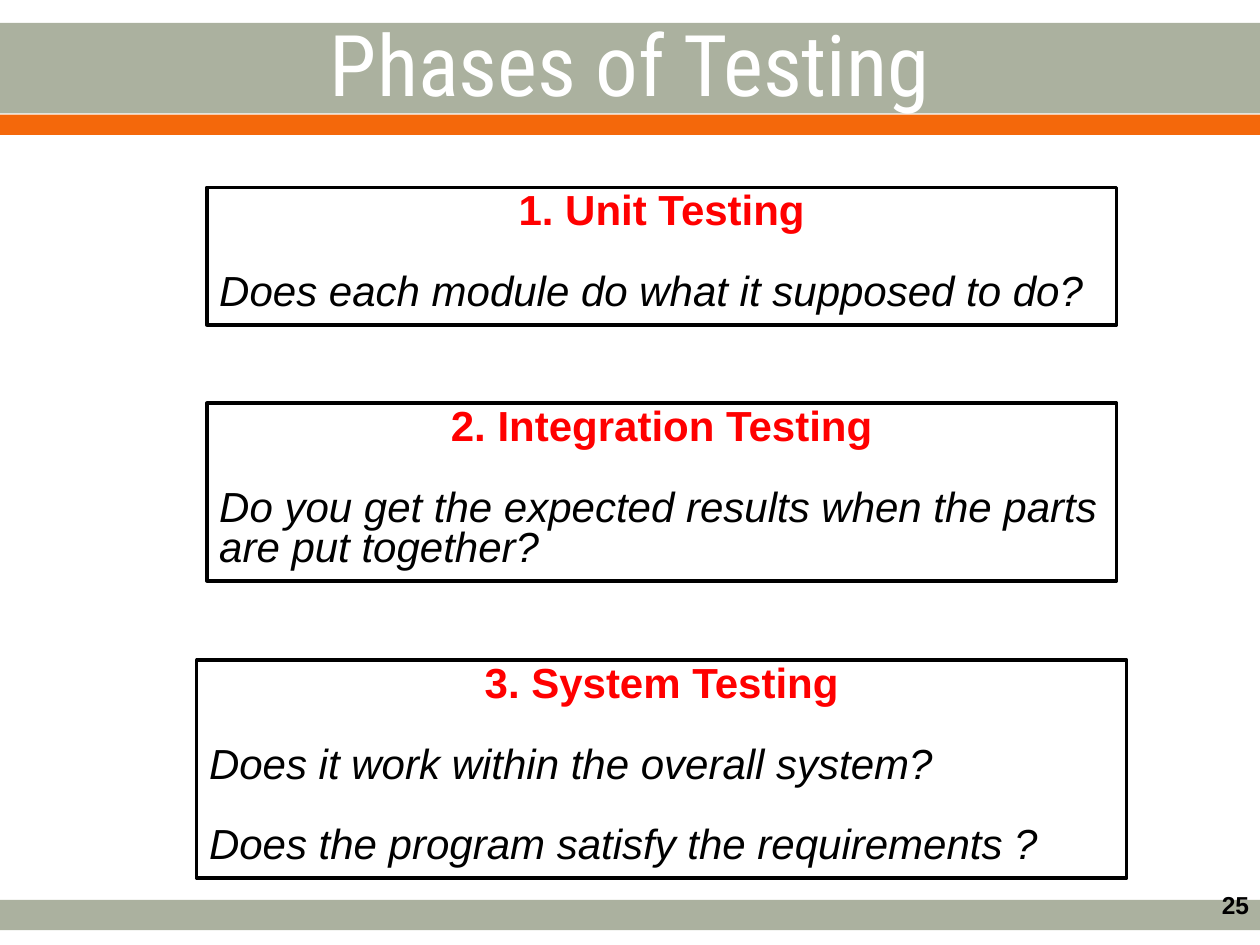
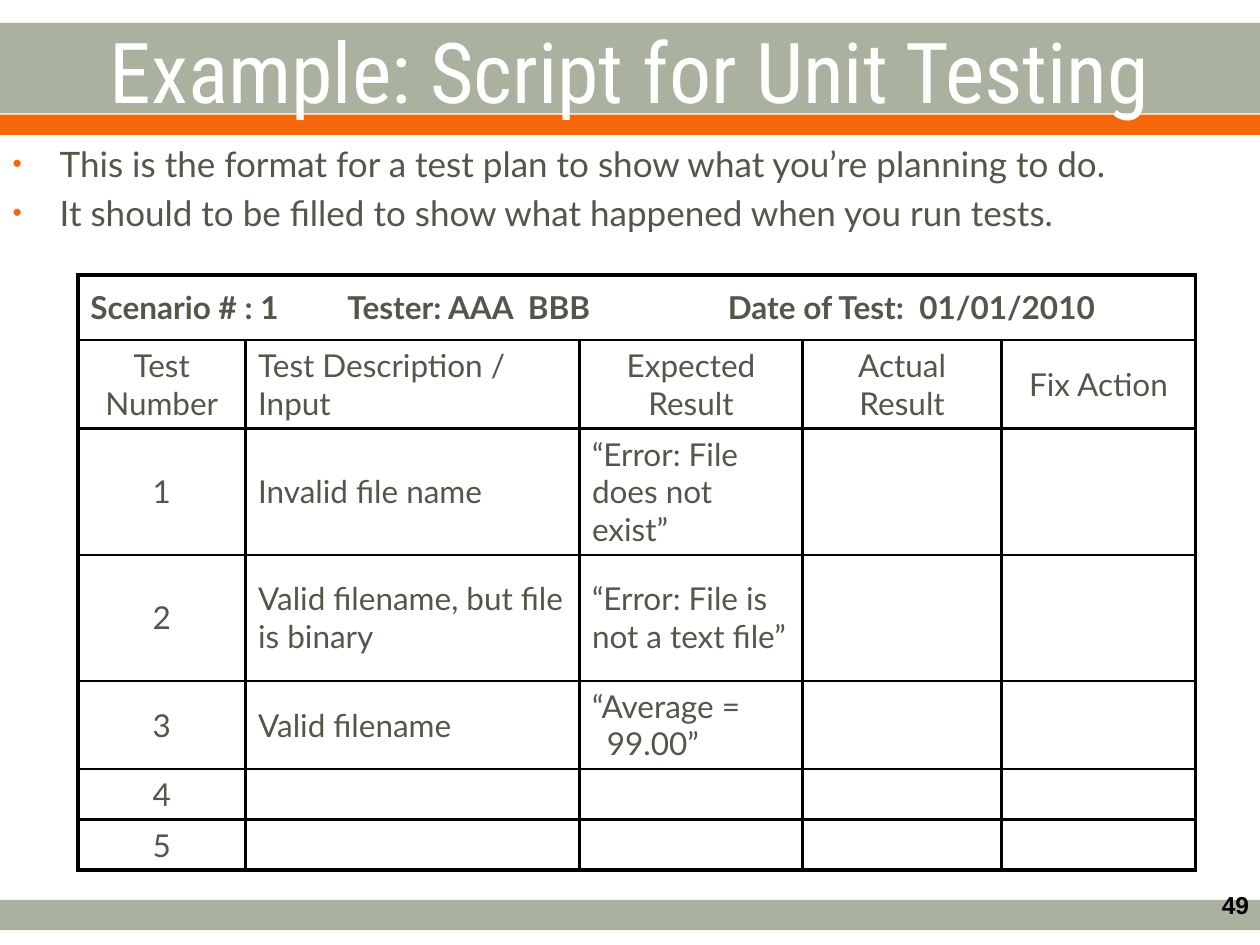
from dataclasses import dataclass

from lxml.etree import SubElement
from pptx import Presentation
from pptx.dml.color import RGBColor
from pptx.enum.shapes import MSO_SHAPE
from pptx.enum.text import MSO_ANCHOR, MSO_AUTO_SIZE, PP_ALIGN
from pptx.oxml import parse_xml
from pptx.oxml.ns import nsdecls, qn
from pptx.util import Cm, Pt

SAGE = RGBColor(0xAB, 0xB1, 0x9F)
ORANGE = RGBColor(0xF4, 0x68, 0x0B)
WHITE = RGBColor(0xFF, 0xFF, 0xFF)
BLACK = RGBColor(0x00, 0x00, 0x00)
RED = RGBColor(0xFF, 0x00, 0x00)
OLIVE = RGBColor(0x55, 0x55, 0x4A)

SLIDE_WIDTH = Cm(25.4)
SLIDE_HEIGHT = Cm(19.05)
PHASE_CENTRE = Cm(13.34)
OUTER_BORDER = Pt(2.25)
INNER_BORDER = Pt(1.5)


@dataclass(frozen=True)
class Band:
    top: Cm
    height: Cm
    color: RGBColor


@dataclass(frozen=True)
class TextStyle:
    font: str
    size: float
    color: RGBColor
    bold: bool = False
    italic: bool = False


@dataclass(frozen=True)
class Phase:
    heading: str
    questions: tuple[str, ...]
    top: Cm
    width: Cm
    height: Cm


BANDS = (
    Band(Cm(18.14), Cm(0.61), SAGE),
    Band(Cm(0.46), Cm(1.83), SAGE),
    Band(Cm(2.31), Cm(0.41), ORANGE),
)

PAGE_NUMBER = TextStyle("Arial", 14, BLACK, bold=True)
PHASE_HEADING = TextStyle("Arial", 24, RED, bold=True)
PHASE_QUESTION = TextStyle("Arial", 24, BLACK, italic=True)
BULLET_TEXT = TextStyle("Lato", 20, OLIVE)
CELL_TEXT = TextStyle("Lato", 18, OLIVE)
SCENARIO_TEXT = TextStyle("Lato", 18, OLIVE, bold=True)

PHASES = (
    Phase("1. Unit Testing",
          ("Does each module do what it supposed to do?",),
          Cm(3.78), Cm(18.34), Cm(2.77)),
    Phase("2. Integration Testing",
          ("Do you get the expected results when the parts are put together?",),
          Cm(8.13), Cm(18.34), Cm(3.58)),
    Phase("3. System Testing",
          ("Does it work within the overall system?",
           "Does the program satisfy the requirements ?"),
          Cm(13.31), Cm(18.75), Cm(4.39)),
)

BULLETS = (
    "This is the format for a test plan to show what you’re planning to do.",
    "It should to be filled to show what happened when you run tests.",
)

SCENARIO = "Scenario # : 1\tTester: AAA  BBB\tDate of Test:  01/01/2010"
SCENARIO_TABS = (Cm(5.18), Cm(12.85))
COLUMN_WIDTHS = (Cm(3.38), Cm(6.73), Cm(4.5), Cm(4.01), Cm(3.91))
ROW_HEIGHTS = (Cm(1.32), Cm(1.78), Cm(2.54), Cm(2.54), Cm(1.78), Cm(1.02), Cm(1.02))
TEST_ROWS = (
    ("Test Number", "Test Description / Input", "Expected Result", "Actual Result", "Fix Action"),
    ("1", "Invalid file name", "“Error: File does not exist”", "", ""),
    ("2", "Valid filename, but file is binary", "“Error: File is not a text file”", "", ""),
    ("3", "Valid filename", "“Average =\n99.00”", "", ""),
    ("4", "", "", "", ""),
    ("5", "", "", "", ""),
)


def add_run(paragraph, text: str, style: TextStyle) -> None:
    run = paragraph.add_run()
    run.text = text
    font = run.font
    font.name = style.font
    font.size = Pt(style.size)
    font.bold = style.bold
    font.italic = style.italic
    font.color.rgb = style.color


def set_indent(paragraph, indent: int) -> None:
    properties = paragraph._p.get_or_add_pPr()
    properties.set("marL", str(indent))
    properties.set("indent", str(-indent))


def place(shape, left: int, top: int, width: int, height: int) -> None:
    shape.left, shape.top, shape.width, shape.height = left, top, width, height


def add_master_bands(presentation, slide) -> None:
    master_tree = presentation.slide_master.shapes.element
    for index, band in enumerate(BANDS):
        shape = slide.shapes.add_shape(MSO_SHAPE.RECTANGLE, 0, band.top, SLIDE_WIDTH, band.height)
        shape.shadow.inherit = False
        shape.fill.solid()
        shape.fill.fore_color.rgb = band.color
        shape.line.fill.background()
        shape.element.nvSpPr.cNvPr.set("id", str(20 + index))
        master_tree.insert(2 + index, shape.element)


def add_title(slide, text: str, size: float, top: int, height: int) -> None:
    title = slide.shapes.title
    place(title, 0, top, SLIDE_WIDTH, height)
    frame = title.text_frame
    frame.auto_size = MSO_AUTO_SIZE.NONE
    frame.vertical_anchor = MSO_ANCHOR.MIDDLE
    paragraph = frame.paragraphs[0]
    paragraph.alignment = PP_ALIGN.CENTER
    add_run(paragraph, text, TextStyle("Roboto Condensed", size, WHITE))


def add_page_number(slide, number: int) -> None:
    box = slide.shapes.add_textbox(Cm(19.51), Cm(17.81), Cm(5.92), Cm(1.32))
    box.text_frame.word_wrap = True
    paragraph = box.text_frame.paragraphs[0]
    paragraph.alignment = PP_ALIGN.RIGHT
    add_run(paragraph, str(number), PAGE_NUMBER)


def add_phase(slide, phase: Phase) -> None:
    left = PHASE_CENTRE - phase.width // 2
    box = slide.shapes.add_shape(MSO_SHAPE.RECTANGLE, left, phase.top, phase.width, phase.height)
    box.shadow.inherit = False
    box.fill.background()
    box.line.color.rgb = BLACK
    box.line.width = Pt(2)
    frame = box.text_frame
    frame.word_wrap = True
    frame.vertical_anchor = MSO_ANCHOR.TOP
    heading = frame.paragraphs[0]
    heading.alignment = PP_ALIGN.CENTER
    heading.line_spacing = 0.8
    add_run(heading, phase.heading, PHASE_HEADING)
    for question in phase.questions:
        paragraph = frame.add_paragraph()
        paragraph.alignment = PP_ALIGN.LEFT
        paragraph.line_spacing = 0.8
        paragraph.space_before = Pt(23)
        add_run(paragraph, question, PHASE_QUESTION)


def add_bullets(slide) -> None:
    body = slide.placeholders[1]
    place(body, 0, Cm(2.74), SLIDE_WIDTH, Cm(2.54))
    frame = body.text_frame
    frame.auto_size = MSO_AUTO_SIZE.NONE
    for index, text in enumerate(BULLETS):
        paragraph = frame.add_paragraph() if index else frame.paragraphs[0]
        set_indent(paragraph, Cm(0.95))
        properties = paragraph._p.get_or_add_pPr()
        color = SubElement(properties, qn("a:buClr"))
        SubElement(color, qn("a:srgbClr"), val=str(ORANGE))
        SubElement(properties, qn("a:buSzPct"), val="75000")
        SubElement(properties, qn("a:buFont"), typeface="Arial")
        SubElement(properties, qn("a:buChar"), char="•")
        add_run(paragraph, text, BULLET_TEXT)


def set_borders(cell, row: int, column: int) -> None:
    outer_sides = {
        "lnL": column == 0,
        "lnR": column == len(COLUMN_WIDTHS) - 1,
        "lnT": row == 0,
        "lnB": row == len(ROW_HEIGHTS) - 1,
    }
    properties = cell._tc.get_or_add_tcPr()
    for index, (side, is_outer) in enumerate(outer_sides.items()):
        width = OUTER_BORDER if is_outer else INNER_BORDER
        properties.insert(index, parse_xml(
            f'<a:{side} {nsdecls("a")} w="{width}"><a:solidFill>'
            f'<a:srgbClr val="{BLACK}"/></a:solidFill></a:{side}>'))


def fill_cell(cell, text: str, centred: bool) -> None:
    paragraph = cell.text_frame.paragraphs[0]
    paragraph.alignment = PP_ALIGN.CENTER if centred else PP_ALIGN.LEFT
    lines = text.split("\n")
    if len(lines) > 1:
        set_indent(paragraph, Cm(0.3))
    for index, line in enumerate(lines):
        if index:
            paragraph.add_line_break()
        add_run(paragraph, line, CELL_TEXT)


def add_scenario(cell) -> None:
    paragraph = cell.text_frame.paragraphs[0]
    tabs = SubElement(paragraph._p.get_or_add_pPr(), qn("a:tabLst"))
    for position in SCENARIO_TABS:
        SubElement(tabs, qn("a:tab"), pos=str(position), algn="l")
    add_run(paragraph, SCENARIO, SCENARIO_TEXT)


def add_test_table(slide) -> None:
    table = slide.shapes.add_table(
        len(ROW_HEIGHTS), len(COLUMN_WIDTHS), Cm(1.57), Cm(5.54),
        sum(COLUMN_WIDTHS), sum(ROW_HEIGHTS)).table
    table.first_row = False
    table.horz_banding = False
    for column, width in zip(table.columns, COLUMN_WIDTHS):
        column.width = width
    for row_index, height in enumerate(ROW_HEIGHTS):
        table.rows[row_index].height = height
        for column_index in range(len(COLUMN_WIDTHS)):
            cell = table.cell(row_index, column_index)
            cell.fill.background()
            cell.vertical_anchor = MSO_ANCHOR.MIDDLE
            set_borders(cell, row_index, column_index)
    table.cell(0, 0).merge(table.cell(0, len(COLUMN_WIDTHS) - 1))
    add_scenario(table.cell(0, 0))
    for row_index, texts in enumerate(TEST_ROWS, start=1):
        for column_index, text in enumerate(texts):
            if text:
                centred = column_index == 0 or (row_index == 1 and column_index != 1)
                fill_cell(table.cell(row_index, column_index), text, centred)


def build_phases_slide(presentation):
    slide = presentation.slides.add_slide(presentation.slide_layouts[5])
    add_title(slide, "Phases of Testing", 48.6, Cm(0.48), Cm(1.57))
    add_page_number(slide, 25)
    for phase in PHASES:
        add_phase(slide, phase)
    return slide


def build_script_slide(presentation) -> None:
    slide = presentation.slides.add_slide(presentation.slide_layouts[1])
    add_page_number(slide, 49)
    add_title(slide, "Example: Script for Unit Testing", 48, Cm(0.13), Cm(2.54))
    add_bullets(slide)
    add_test_table(slide)


def main() -> None:
    presentation = Presentation()
    presentation.slide_width = SLIDE_WIDTH
    presentation.slide_height = SLIDE_HEIGHT
    phases_slide = build_phases_slide(presentation)
    add_master_bands(presentation, phases_slide)
    build_script_slide(presentation)
    presentation.save("out.pptx")


if __name__ == "__main__":
    main()
